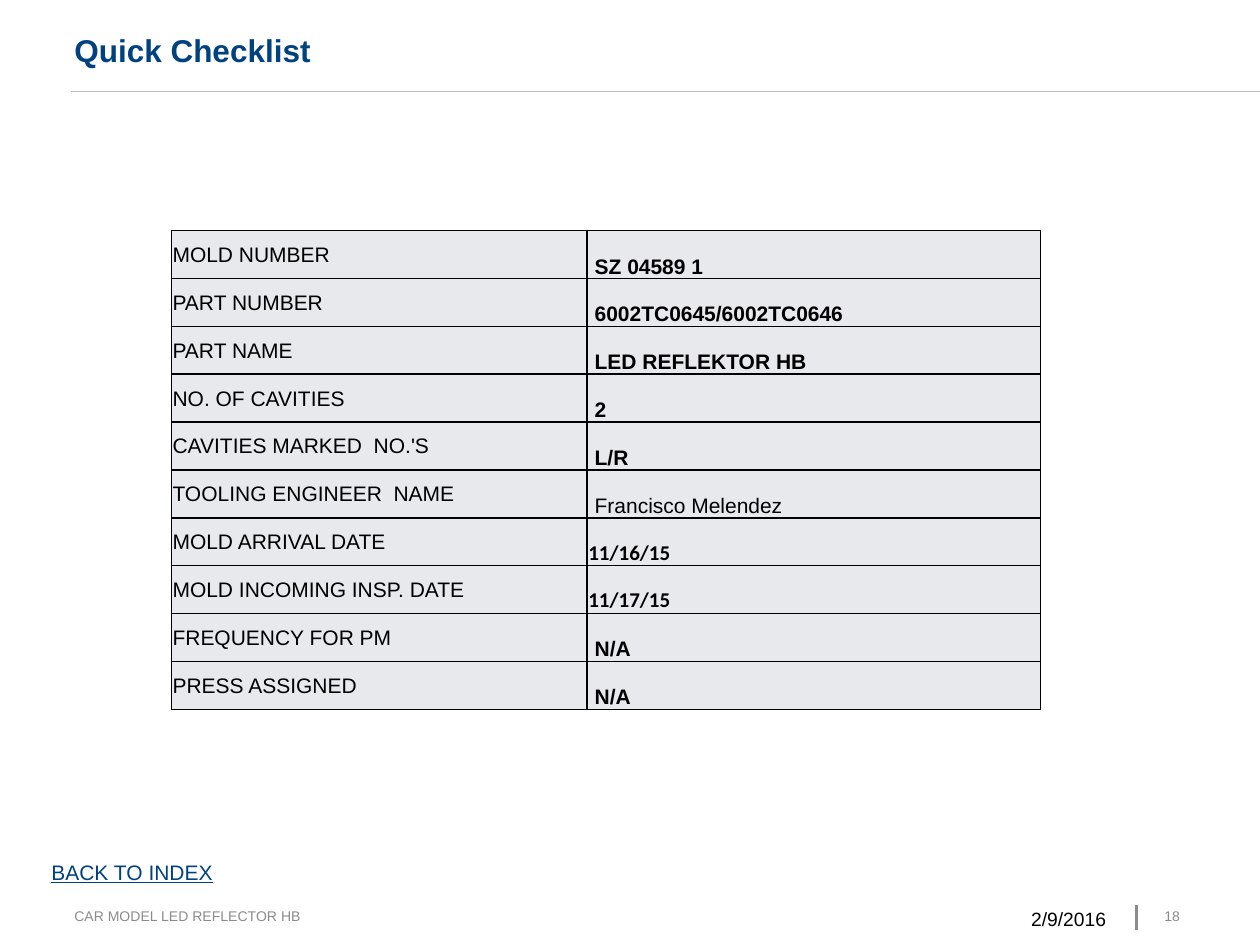
"""Build the mold quick checklist slide."""
from lxml.etree import SubElement
from pptx import Presentation
from pptx.dml.color import RGBColor
from pptx.enum.shapes import MSO_CONNECTOR
from pptx.enum.text import MSO_ANCHOR, MSO_AUTO_SIZE, PP_ALIGN
from pptx.oxml.ns import qn
from pptx.util import Inches, Pt

NAVY = RGBColor(0x00, 0x42, 0x80)
BLACK = RGBColor(0x00, 0x00, 0x00)
GRAY = RGBColor(0x89, 0x8C, 0x8A)
LIGHT_GRAY = RGBColor(0xC1, 0xC1, 0xC1)
CELL_FILL = RGBColor(0xE7, 0xE9, 0xED)

VALUE = {"bold": True}
PLAIN = {"bold": False}
DATE = {"bold": True, "name": "Calibri"}
CHECKLIST = [
    ("MOLD NUMBER", "SZ 04589 1", VALUE),
    ("PART NUMBER", "6002TC0645/6002TC0646", VALUE),
    ("PART NAME", "LED REFLEKTOR HB", VALUE),
    ("NO. OF CAVITIES", "2", VALUE),
    ("CAVITIES MARKED  NO.'S", "L/R", VALUE),
    ("TOOLING ENGINEER  NAME", "Francisco Melendez", PLAIN),
    ("MOLD ARRIVAL DATE", "11/16/15", DATE),
    ("MOLD INCOMING INSP. DATE", "11/17/15", DATE),
    ("FREQUENCY FOR PM", "N/A", VALUE),
    ("PRESS ASSIGNED", "N/A", VALUE),
]
COLUMN_WIDTHS = (3.3, 3.6)
ROW_HEIGHT = 0.38
TABLE_LEFT, TABLE_TOP = 1.36, 1.83

NO_INSET = {"margin_left": 0, "margin_right": 0, "margin_top": 0, "margin_bottom": 0}
WRAPPED = {**NO_INSET, "word_wrap": True}
TEXTS = [
    ("Quick Checklist", (0.59, 0.22, 6.62, 0.35), NAVY,
     {"size": Pt(18), "bold": True},
     {**WRAPPED, "vertical_anchor": MSO_ANCHOR.MIDDLE}, {"line_spacing": Pt(22)}),
    ("2/9/2016", (7.23, 7.2, 1.55, 0.23), BLACK,
     {"size": Pt(11)}, WRAPPED, {"alignment": PP_ALIGN.RIGHT}),
    ("BACK TO INDEX", (0.31, 6.77, 1.5, 0.3), NAVY,
     {"size": Pt(12), "underline": True},
     {"word_wrap": False, "auto_size": MSO_AUTO_SIZE.SHAPE_TO_FIT_TEXT}, {}),
    ("CAR MODEL LED REFLECTOR HB", (0.59, 7.2, 4.13, 0.26), GRAY,
     {"size": Pt(8)}, {**NO_INSET, "word_wrap": False}, {}),
    ("18", (9.24, 7.2, 0.35, 0.22), GRAY, {"size": Pt(8)}, WRAPPED, {}),
]
RULES = [
    ((9.02, 7.18, 9.02, 7.38), GRAY, 1.5),
    ((0.56, 0.72, 10, 0.72), LIGHT_GRAY, 0.1),
]


def apply(target, values):
    for name, value in values.items():
        setattr(target, name, value)


def write(frame, text, color, font, paragraph):
    para = frame.paragraphs[0]
    apply(para, paragraph)
    span = para.add_run()
    span.text = text
    apply(span.font, {"name": "Arial", **font})
    span.font.color.rgb = color


def add_rule(page, ends, color, width):
    rule = page.shapes.add_connector(MSO_CONNECTOR.STRAIGHT, *map(Inches, ends))
    rule.line.color.rgb = color
    rule.line.width = Pt(width)
    SubElement(rule._element.spPr, qn("a:effectLst"))


def add_text(page, text, area, color, font, frame, paragraph):
    box = page.shapes.add_textbox(*map(Inches, area))
    apply(box.text_frame, frame)
    write(box.text_frame, text, color, font, paragraph)


def add_borders(cell):
    properties = cell._tc.get_or_add_tcPr()
    for position, side in enumerate(("lnL", "lnR", "lnT", "lnB")):
        line = SubElement(properties, qn(f"a:{side}"), w=str(Pt(1)))
        fill = SubElement(line, qn("a:solidFill"))
        SubElement(fill, qn("a:srgbClr"), val=str(BLACK))
        properties.insert(position, line)


def fill_cell(cell, text, font, anchor, left_margin):
    apply(cell, {
        "margin_left": Inches(left_margin), "margin_right": Inches(0.01),
        "margin_top": Inches(0.01), "margin_bottom": 0, "vertical_anchor": anchor,
    })
    cell.fill.solid()
    cell.fill.fore_color.rgb = CELL_FILL
    write(cell.text_frame, text, BLACK, {"size": Pt(12), **font}, {})
    add_borders(cell)


def add_checklist(page):
    area = (TABLE_LEFT, TABLE_TOP, sum(COLUMN_WIDTHS), ROW_HEIGHT * len(CHECKLIST))
    table = page.shapes.add_table(
        len(CHECKLIST), len(COLUMN_WIDTHS), *map(Inches, area)).table
    apply(table, {"first_row": False, "horz_banding": False})
    for column, width in zip(table.columns, COLUMN_WIDTHS):
        column.width = Inches(width)
    for row, (label, value, font) in zip(table.rows, CHECKLIST):
        row.height = Inches(ROW_HEIGHT)
        fill_cell(row.cells[0], label, PLAIN, MSO_ANCHOR.MIDDLE, 0.01)
        indent = 0.01 if font is DATE else 0.06
        fill_cell(row.cells[1], value, font, MSO_ANCHOR.BOTTOM, indent)


def main():
    deck = Presentation()
    apply(deck, {"slide_width": Inches(10), "slide_height": Inches(7.5)})
    page = deck.slides.add_slide(deck.slide_layouts[6])
    for rule in RULES:
        add_rule(page, *rule)
    add_checklist(page)
    for text in TEXTS:
        add_text(page, *text)
    deck.save("out.pptx")


if __name__ == "__main__":
    main()
